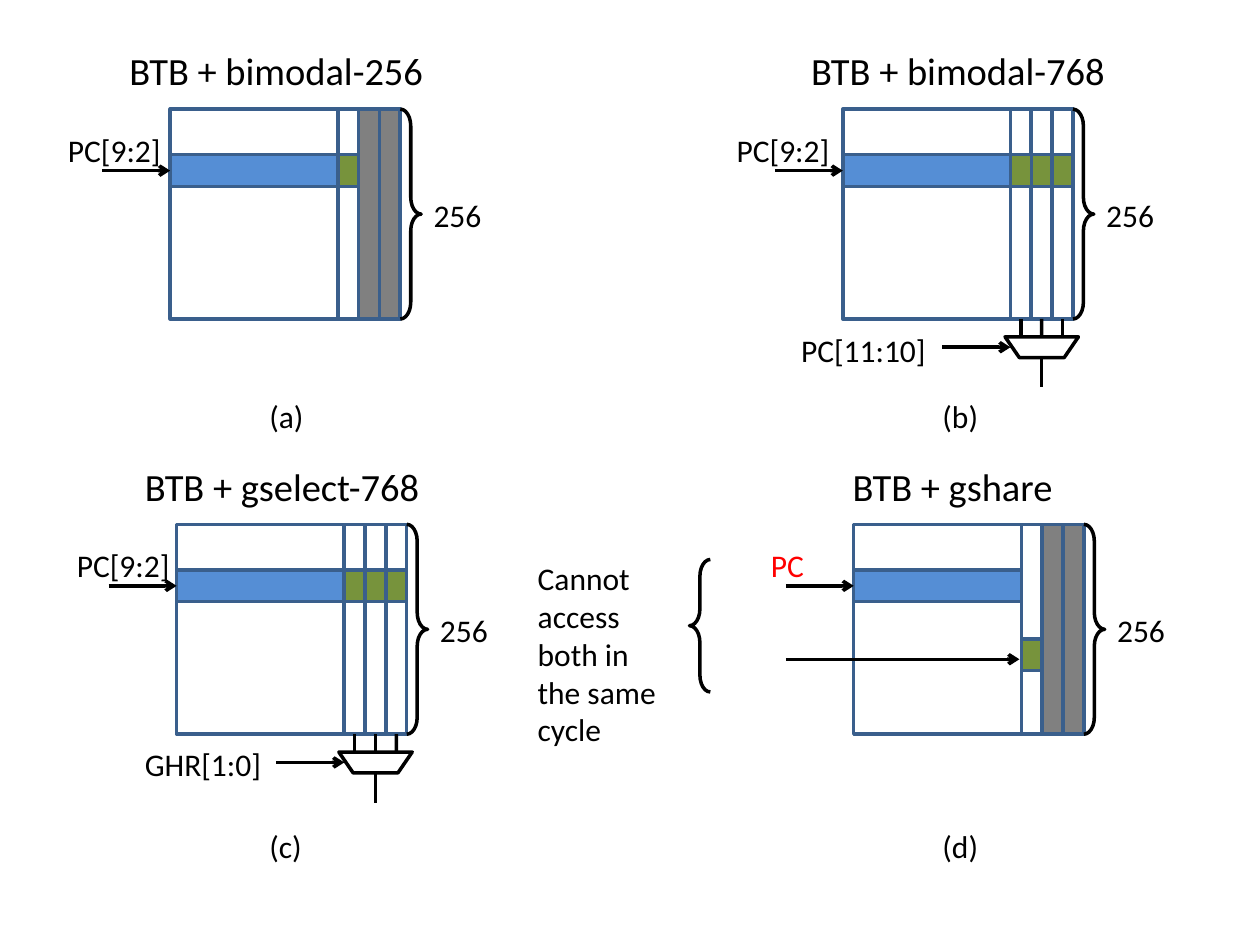
from lxml import etree
from pptx import Presentation
from pptx import util as u
from pptx.dml.color import RGBColor
from pptx.enum import shapes, text
from pptx.oxml.ns import qn

BLACK = RGBColor(0x00, 0x00, 0x00)
RED = RGBColor(0xFF, 0x00, 0x00)
EDGE = RGBColor(0x3A, 0x5F, 0x8C)
BLUE = RGBColor(0x55, 0x8E, 0xD5)
GREEN = RGBColor(0x77, 0x93, 0x3C)
GRAY = RGBColor(0x80, 0x80, 0x80)
RECT = shapes.MSO_SHAPE.RECTANGLE
BRACE = shapes.MSO_SHAPE.LEFT_BRACE
TRAPEZOID = shapes.MSO_SHAPE.TRAPEZOID

# Table geometry in cm
TAG_W, COL_W, TABLE_H = 3.38, 0.42, 4.23
TABLE_W = TAG_W + 3 * COL_W
ENTRY_Y, ENTRY_H = 0.92, 0.64
ARROW_W = 1.37


def put_text(tf, content, size=18, color=BLACK, font="Calibri"):
    p = tf.paragraphs[0]
    p.alignment = text.PP_ALIGN.LEFT
    r = p.add_run()
    r.text = content
    r.font.name = font
    r.font.size = u.Pt(size)
    r.font.color.rgb = color


class Diagram:
    """Draws on one slide in a fixed style; all lengths are in cm."""

    def __init__(self, slide, line_width=2):
        self.s = slide
        self.line_width = u.Pt(line_width)

    def shape(self, kind, x, y, w, h, fill=None, line=EDGE, adj=None, rotation=0):
        sp = self.s.shapes.add_shape(kind, u.Cm(x), u.Cm(y), u.Cm(w), u.Cm(h))
        sp.shadow.inherit = False
        if fill is None:
            sp.fill.background()
        else:
            sp.fill.solid()
            sp.fill.fore_color.rgb = fill
        sp.line.color.rgb = line
        sp.line.width = self.line_width
        sp.rotation = rotation
        if adj is not None:
            sp.adjustments[0] = adj
        return sp

    def line(self, x1, y1, x2, y2, arrow=False):
        c = self.s.shapes.add_connector(
            shapes.MSO_CONNECTOR.STRAIGHT, u.Cm(x1), u.Cm(y1), u.Cm(x2), u.Cm(y2))
        c.line.color.rgb = BLACK
        c.line.width = self.line_width
        if arrow:
            etree.SubElement(c.line._get_or_add_ln(), qn("a:tailEnd"), type="arrow")
        etree.SubElement(c._element.spPr, qn("a:effectLst"))
        return c

    def label(self, content, x, y, w, h=1.02, **fmt):
        tb = self.s.shapes.add_textbox(u.Cm(x), u.Cm(y), u.Cm(w), u.Cm(h))
        tb.text_frame.word_wrap = True
        put_text(tb.text_frame, content, **fmt)

    def brace(self, x, y, h, rotation=0):
        self.shape(BRACE, x, y, COL_W, h, line=BLACK, adj=0.806, rotation=rotation)

    def table(self, x, y, counters=1, counter_y=ENTRY_Y, spare=None):
        """Branch target buffer with three counter columns; returns the columns."""
        col_x = [x + TAG_W + i * COL_W for i in range(3)]
        cols = [self.shape(RECT, col_x[0], y, COL_W, TABLE_H)]
        self.shape(RECT, x, y, TABLE_W, TABLE_H)
        entry = self.shape(RECT, x, y + ENTRY_Y, TAG_W, ENTRY_H, fill=BLUE)
        self.shape(RECT, col_x[0], y + counter_y, counters * COL_W, ENTRY_H, fill=GREEN)
        cols += [self.shape(RECT, cx, y, COL_W, TABLE_H, fill=spare) for cx in col_x[1:]]
        self.brace(x + TABLE_W, y, TABLE_H, rotation=180)
        self.label("256", x + 5.06, y + 1.63, 2.11)

        arrow_y = y + ENTRY_Y + ENTRY_H / 2
        self.line(x - ARROW_W, arrow_y, x, arrow_y, arrow=True).end_connect(entry, 1)
        return cols

    def mux(self, x, y, cols):
        """Multiplexer under the three counter columns."""
        bottom, top = y + TABLE_H, y + TABLE_H + 0.36
        for i, col in enumerate(cols):
            cx = x + TAG_W + (i + 0.5) * COL_W
            self.line(cx, bottom, cx, top).begin_connect(col, 2)
        mid = x + TAG_W + 1.5 * COL_W
        self.shape(TRAPEZOID, mid - 0.74, top, 1.48, COL_W,
                   line=BLACK, adj=0.688, rotation=180)
        self.line(mid, top + COL_W, mid, top + 1.02)
        self.line(x + TAG_W - ARROW_W, y + 4.8, x + TAG_W, y + 4.8, arrow=True)


def main():
    prs = Presentation()
    prs.slide_width, prs.slide_height = u.Cm(25.4), u.Cm(19.05)
    d = Diagram(prs.slides.add_slide(prs.slide_layouts[6]))
    top, low = 2.2, 10.57

    # The four tables: x, y, table options, has a multiplexer
    panels = [
        (3.43, top, dict(spare=GRAY), False),
        (16.99, top, dict(counters=3), True),
        (3.56, low, dict(counters=3), True),
        (17.21, low, dict(counter_y=2.31, spare=GRAY), False),
    ]
    for x, y, options, has_mux in panels:
        cols = d.table(x, y, **options)
        if has_mux:
            d.mux(x, y, cols)

    # Titles
    for title, x, y in [("BTB + bimodal-256", 2.36, top), ("BTB + bimodal-768", 16.1, top),
                        ("BTB + gselect-768", 2.67, low), ("BTB + gshare", 16.94, low)]:
        d.label(title, x, y - 1.37, 6.53, 1.19, size=22)

    # Index and select inputs
    d.label("PC[9:2]", 1.12, top + 0.31, 2.92)
    d.label("PC[9:2]", 14.6, top + 0.31, 2.62)
    d.label("PC[9:2]", 1.3, low + 0.31, 2.5)
    d.label("PC", 15.29, low + 0.31, 1.83, color=RED)
    d.label("PC[11:10]", 15.9, top + 4.35, 3.1)
    d.label("GHR[1:0]", 2.67, low + 4.32, 2.92)

    # Second access in panel (d)
    d.line(15.84, low + 2.72, 20.55, low + 2.72, arrow=True)
    d.brace(13.9, 11.28, 2.67)
    d.label("Cannot access both in the same cycle", 10.59, 11.15, 3.18, 4.11)

    # Panel letters
    for i, letter in enumerate("abcd"):
        d.label(f"({letter})", (5.18, 18.75)[i % 2], (7.87, 16.54)[i // 2], 1.25)

    prs.save("out.pptx")


if __name__ == "__main__":
    main()
